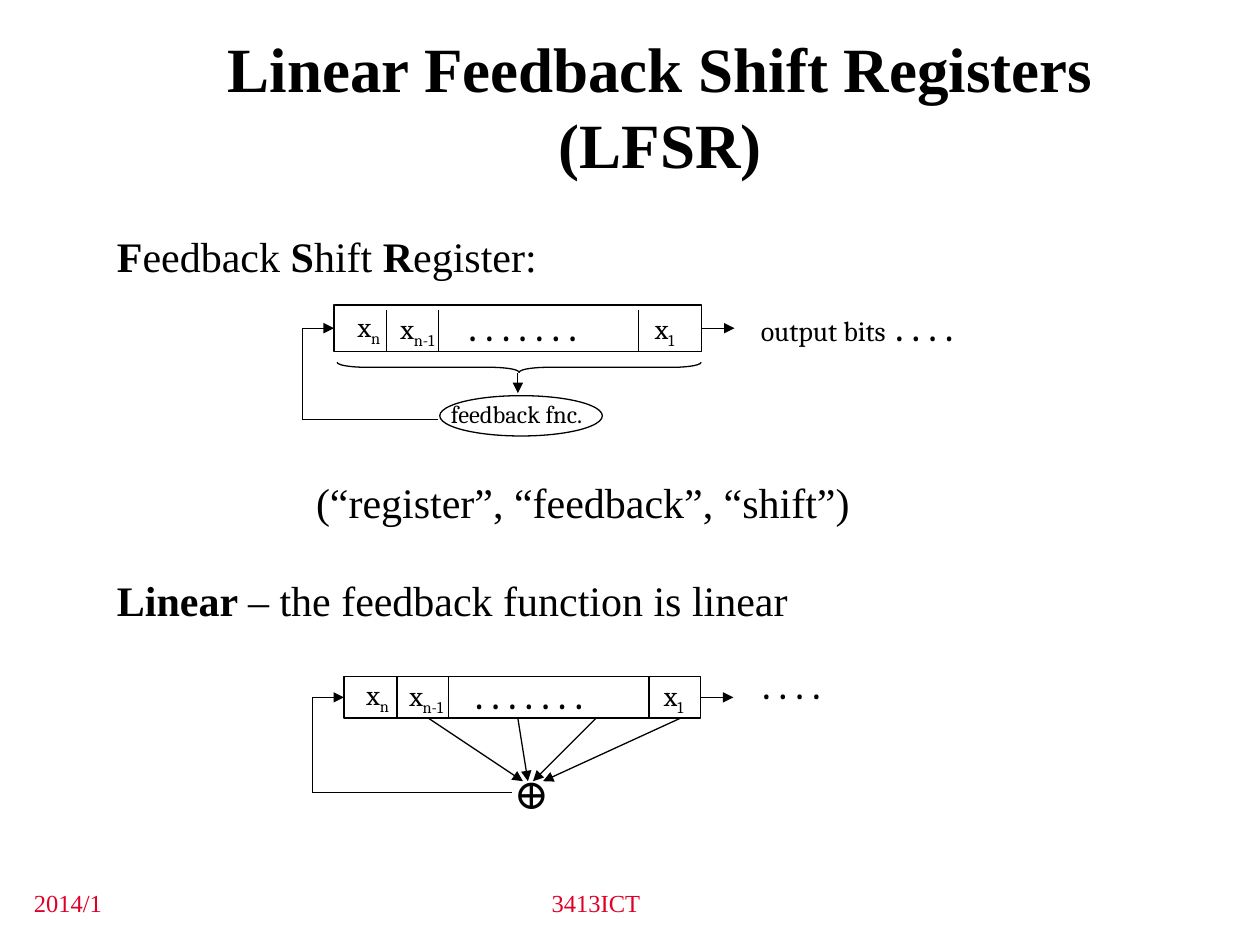
import pptx
import pptx.util
import pptx.dml.color
import pptx.enum.shapes
import pptx.enum.text
import pptx.oxml.ns
from lxml import etree

Inches, Pt = pptx.util.Inches, pptx.util.Pt
SHAPE = pptx.enum.shapes.MSO_SHAPE
ALIGN = pptx.enum.text.PP_ALIGN
ANCHOR = pptx.enum.text.MSO_ANCHOR

COLORS = {"ink": "000000", "footer": "DF0029"}
SERIF, LABEL_FONT = "Times New Roman", "Cambria"
TOP, LEFT, RIGHT = 0, 1, 3

TITLE = "Linear Feedback Shift Registers (LFSR)"

# (space before in points, left margin, first-line indent, [(text, bold), ...])
BODY = [
    (5.5, 0.38, -0.38, [("F", True), ("eedback ", False), ("S", True),
                        ("hift ", False), ("R", True), ("egister:", False)]),
    (117.3, 1.58, 0, [("(“register”, “feedback”, “shift”)", False)]),
    (33.3, 0.38, -0.38, [("Linear ", True),
                         ("– the feedback function is linear", False)]),
]

FOOTERS = [("2014/1", (0.17, 7, 2.08, 0.33), ALIGN.LEFT),
           ("3413ICT", (2.8, 7, 3.86, 0.33), ALIGN.CENTER)]

# Labels: (box, [(text, size, subscript), ...])
REGISTERS = [
    {
        "box": (2.65, 2.42, 2.92, 0.37),
        "dividers": (3.07, 3.48, 5.07), "divider_span": (2.46, 2.79),
        "cells": [("n", (2.74, 2.41, 0.4, 0.37)),
                  ("n-1", (3.08, 2.42, 0.53, 0.37)),
                  ("1", (5.1, 2.42, 0.4, 0.37))],
        "labels": [((3.62, 2.33, 1.4, 0.5), [(". . . . . . .", 24, False)]),
                   ((5.94, 2.33, 1.84, 0.4), [("output bits", 16, False),
                                              (" . . . .", 24, False)]),
                   ((3.48, 3.12, 1.35, 0.33), [("feedback fnc.", 14, False)])],
        "feedback_start": (3.48, 3.33), "feedback_x": 2.4,
        "arrows": [((4.11, 2.96), (4.11, 3.12))],
    },
    {
        "box": (2.73, 5.37, 2.83, 0.33),
        "dividers": (3.15, 3.56, 5.15), "divider_span": (5.37, 5.7),
        "cells": [("n", (2.81, 5.33, 0.4, 0.37)),
                  ("n-1", (3.15, 5.34, 0.53, 0.37)),
                  ("1", (5.17, 5.34, 0.4, 0.37))],
        "labels": [((3.67, 5.25, 1.4, 0.5), [(". . . . . . .", 24, False)]),
                   ((5.95, 5.17, 0.69, 0.4), [(". . . .", 24, False)]),
                   ((3.98, 6.04, 0.46, 0.5), [("⊕", 24, False)])],
        "feedback_start": (4.06, 6.29), "feedback_x": 2.48,
        "arrows": [((start, 5.7), (end, 6.2)) for start, end in
                   ((5.4, 4.31), (4.73, 4.23), (3.4, 4.15), (4.11, 4.19))],
    },
]
BRACE = (4.08, 1.47, 0.08, 2.89)
FEEDBACK_ELLIPSE = (3.49, 3.14, 1.29, 0.32)
ARROW_LENGTH = 0.26


def color(name):
    return pptx.dml.color.RGBColor.from_string(COLORS[name])


def add_text_box(shapes, box, wrap=True):
    frame = shapes.add_textbox(*map(Inches, box)).text_frame
    frame.word_wrap = wrap
    return frame


def add_run(paragraph, text, size, font=SERIF, ink="ink", bold=False):
    run = paragraph.add_run()
    run.text = text
    run.font.size = Pt(size)
    run.font.name = font
    run.font.bold = bold
    run.font.color.rgb = color(ink)
    return run


def add_label(shapes, box, runs):
    paragraph = add_text_box(shapes, box, wrap=False).paragraphs[0]
    for text, size, subscript in runs:
        run = add_run(paragraph, text, size, LABEL_FONT)
        if subscript:
            run.font._element.set("baseline", "-25000")


def add_outline(shapes, kind, box):
    shape = shapes.add_shape(kind, *map(Inches, box))
    shape.shadow.inherit = False
    shape.fill.background()
    shape.line.color.rgb = color("ink")
    shape.line.width = Pt(0.75)
    return shape


def add_line(shapes, start, end, arrow=False):
    connector = shapes.add_connector(pptx.enum.shapes.MSO_CONNECTOR.STRAIGHT,
                                     *map(Inches, start + end))
    connector.line.color.rgb = color("ink")
    connector.line.width = Pt(0.75)
    if arrow:
        etree.SubElement(connector.line._get_or_add_ln(),
                         pptx.oxml.ns.qn("a:tailEnd"), type="triangle")
    etree.SubElement(connector._element.spPr, pptx.oxml.ns.qn("a:effectLst"))
    return connector


def add_register(slide, register):
    """Draw the cells, the feedback loop and the output; return the group's shapes."""
    shapes = slide.shapes.add_group_shape().shapes
    left, top, width, height = register["box"]
    right, middle = left + width, top + height / 2
    rectangle = add_outline(shapes, SHAPE.RECTANGLE, register["box"])

    divider_top, divider_bottom = register["divider_span"]
    for x in register["dividers"]:
        add_line(shapes, (x, divider_top), (x, divider_bottom))
    for subscript, box in register["cells"]:
        add_label(shapes, box, [("x", 16, False), (subscript, 16, True)])
    for box, runs in register["labels"]:
        add_label(shapes, box, runs)

    loop_x, loop_y = register["feedback_x"], register["feedback_start"][1]
    add_line(shapes, register["feedback_start"], (loop_x, loop_y))
    add_line(shapes, (loop_x, loop_y), (loop_x, middle))
    feedback = add_line(shapes, (loop_x, middle), (left, middle), arrow=True)
    feedback.end_connect(rectangle, LEFT)
    output = add_line(shapes, (right, middle), (right + ARROW_LENGTH, middle), arrow=True)
    output.begin_connect(rectangle, RIGHT)
    for start, end in register["arrows"]:
        add_line(shapes, start, end, arrow=True)
    return shapes


def main():
    presentation = pptx.Presentation()
    presentation.slide_width, presentation.slide_height = Inches(10), Inches(7.5)
    slide = presentation.slides.add_slide(presentation.slide_layouts[6])

    title = add_text_box(slide.shapes, (1.3, 0.21, 7.88, 1.25))
    title.vertical_anchor = ANCHOR.MIDDLE
    title.paragraphs[0].alignment = ALIGN.CENTER
    add_run(title.paragraphs[0], TITLE, 36, bold=True)

    body = add_text_box(slide.shapes, (0.83, 1.86, 8.99, 5.34))
    for index, (space, margin, indent, runs) in enumerate(BODY):
        paragraph = body.add_paragraph() if index else body.paragraphs[0]
        paragraph.line_spacing = 0.8
        paragraph.space_before = Pt(space)
        properties = paragraph._p.get_or_add_pPr()
        properties.set("marL", str(Inches(margin)))
        properties.set("indent", str(Inches(indent)))
        for text, bold in runs:
            add_run(paragraph, text, 24, bold=bold)

    general, linear = [add_register(slide, register) for register in REGISTERS]
    brace = add_outline(general, SHAPE.RIGHT_BRACE, BRACE)
    brace.rotation = 90
    brace.adjustments[0] = 2.89
    add_outline(general, SHAPE.OVAL, FEEDBACK_ELLIPSE)

    for text, box, alignment in FOOTERS:
        paragraph = add_text_box(slide.shapes, box).paragraphs[0]
        paragraph.alignment = alignment
        add_run(paragraph, text, 14, ink="footer")

    presentation.save("out.pptx")


if __name__ == "__main__":
    main()
